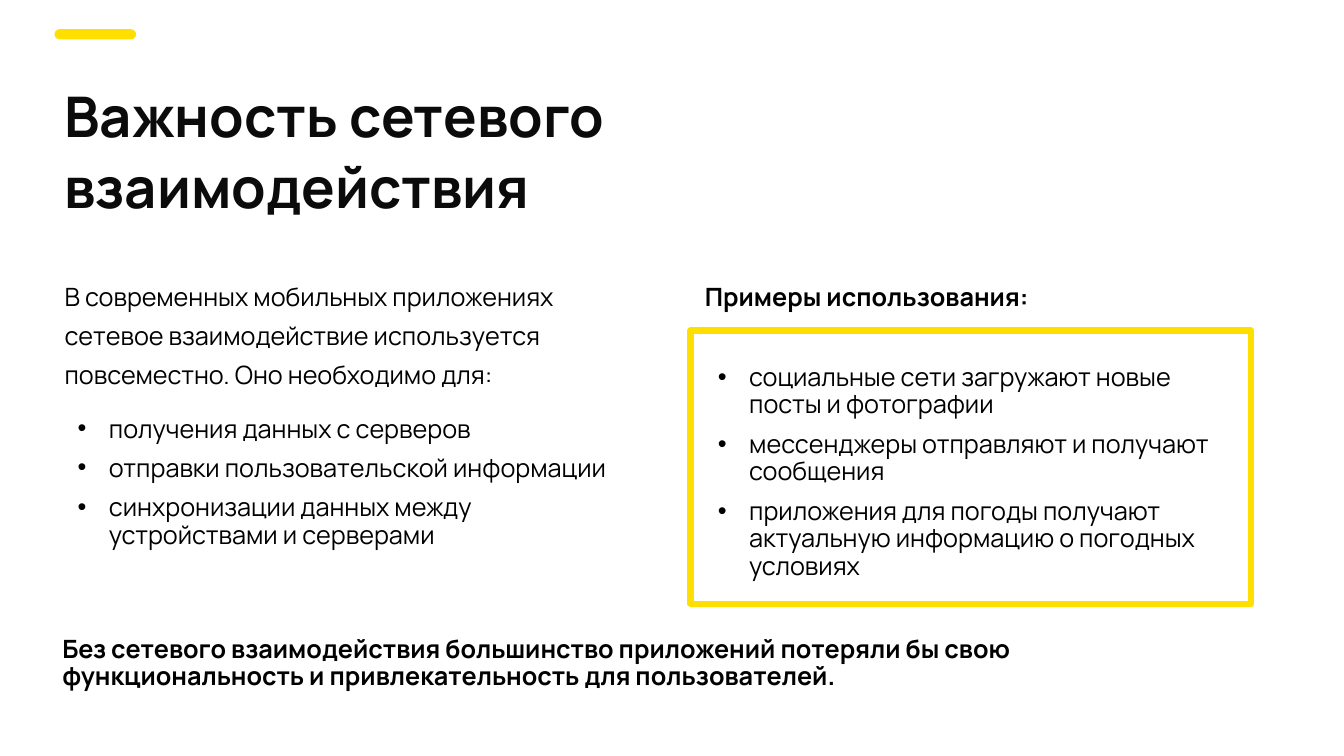
import pptx
import pptx.dml.color
import pptx.enum.shapes
import pptx.enum.text
import pptx.oxml.ns
import pptx.util
from lxml import etree

Inches = pptx.util.Inches
RGBColor = pptx.dml.color.RGBColor
YELLOW = RGBColor(0xFF, 0xDF, 0x00)
INK = RGBColor(0x0B, 0x0B, 0x0B)
BLACK = RGBColor(0x00, 0x00, 0x00)
FONT = "Manrope"

PURPOSES = [
    ("В современных мобильных приложениях сетевое взаимодействие используется "
     "повсеместно. Оно необходимо для:", 1.3, 0, False, False),
    ("получения данных с серверов", 1.2, 12, True, False),
    ("отправки пользовательской информации", 1.3, 0, True, False),
    ("синхронизации данных между устройствами и серверами", 0.9, 9, True, False),
]
EXAMPLES = [
    ("Примеры использования:", 1.3, 10, False, True),
    ("социальные сети загружают новые посты и фотографии", 0.9, 38, True, False),
    ("мессенджеры отправляют и получают сообщения", 0.9, 9, True, False),
    ("приложения для погоды получают актуальную информацию о погодных условиях",
     0.9, 9, True, False),
]
CONCLUSION = [
    ("Без сетевого взаимодействия большинство приложений потеряли бы свою "
     "функциональность и привлекательность для пользователей.", 0.9, 10, False, True),
]


def place(sp, x, y, w, h):
    """Move a shape to a box given in inches."""
    sp.left, sp.top, sp.width, sp.height = (Inches(v) for v in (x, y, w, h))


def set_bullet(p, bullet):
    """Give a paragraph a hanging black bullet, or none."""
    pPr = p._p.get_or_add_pPr()
    qn = pptx.oxml.ns.qn
    pPr.set("marL", str(Inches(0.44 if bullet else 0)))
    pPr.set("indent", str(Inches(-0.31 if bullet else 0)))
    if not bullet:
        etree.SubElement(pPr, qn("a:buNone"))
        return
    color = etree.SubElement(pPr, qn("a:buClr"))
    etree.SubElement(color, qn("a:srgbClr"), val=str(BLACK))
    etree.SubElement(pPr, qn("a:buFont"), typeface="Arial")
    etree.SubElement(pPr, qn("a:buChar"), char="•")


def fill_text(sp, rows, size=18, color=BLACK):
    """Write rows of text, line spacing, space before, bullet and bold."""
    tf = sp.text_frame
    tf.word_wrap = True
    tf.auto_size = pptx.enum.text.MSO_AUTO_SIZE.NONE
    tf.vertical_anchor = pptx.enum.text.MSO_ANCHOR.TOP
    tf.text = "\n".join(row[0] for row in rows)
    for p, (_, spacing, before, bullet, bold) in zip(tf.paragraphs, rows):
        p.alignment = pptx.enum.text.PP_ALIGN.LEFT
        p.line_spacing = spacing
        p.space_before = pptx.util.Pt(before)
        set_bullet(p, bullet)
        font = p.runs[0].font
        font.name, font.size, font.bold = FONT, pptx.util.Pt(size), bold
        font.color.rgb = color


def add_header(s, x, y, w, h):
    """Place the accent bar and the title below it."""
    bar = s.shapes.add_shape(pptx.enum.shapes.MSO_SHAPE.ROUNDED_RECTANGLE,
                             Inches(x), Inches(y), Inches(0.81), Inches(0.1))
    bar.adjustments[0] = 0.5
    bar.shadow.inherit = False
    bar.fill.solid()
    bar.fill.fore_color.rgb = YELLOW
    bar.line.fill.background()
    place(s.shapes.title, x, y + 0.43, w, h - 0.43)
    fill_text(s.shapes.title,
              [("Важность сетевого взаимодействия", 1.06, 0, False, True)], 40, INK)


def add_purposes(s, x, y, w, h):
    """Place the left column of purposes."""
    sp = s.placeholders[1]
    place(sp, x, y, w, h)
    fill_text(sp, PURPOSES)


def add_examples(s, x, y, w, h):
    """Place the right column of examples and frame its list."""
    sp = s.placeholders[2]
    place(sp, x, y, w, h)
    fill_text(sp, EXAMPLES)
    frame = s.shapes.add_shape(pptx.enum.shapes.MSO_SHAPE.RECTANGLE,
                               Inches(x - 0.04), Inches(y + 0.63),
                               Inches(w + 0.25), Inches(2.71))
    frame.shadow.inherit = False
    frame.fill.background()
    frame.line.color.rgb = YELLOW
    frame.line.width = pptx.util.Pt(4.5)


def add_conclusion(s, x, y, w, h):
    """Place the closing statement."""
    sp = s.shapes.add_textbox(Inches(x), Inches(y), Inches(w), Inches(h))
    fill_text(sp, CONCLUSION)


def main():
    """Build and save the slide."""
    prs = pptx.Presentation()
    prs.slide_width, prs.slide_height = Inches(13.33), Inches(7.5)
    s = prs.slides.add_slide(prs.slide_layouts.get_by_name("Two Content"))
    add_header(s, 0.54, 0.29, 9.66, 1.34)
    add_purposes(s, 0.54, 2.65, 5.93, 3.34)
    add_examples(s, 6.89, 2.65, 5.31, 2.97)
    add_conclusion(s, 0.52, 6.27, 11.9, 0.64)
    prs.save("out.pptx")


if __name__ == "__main__":
    main()
